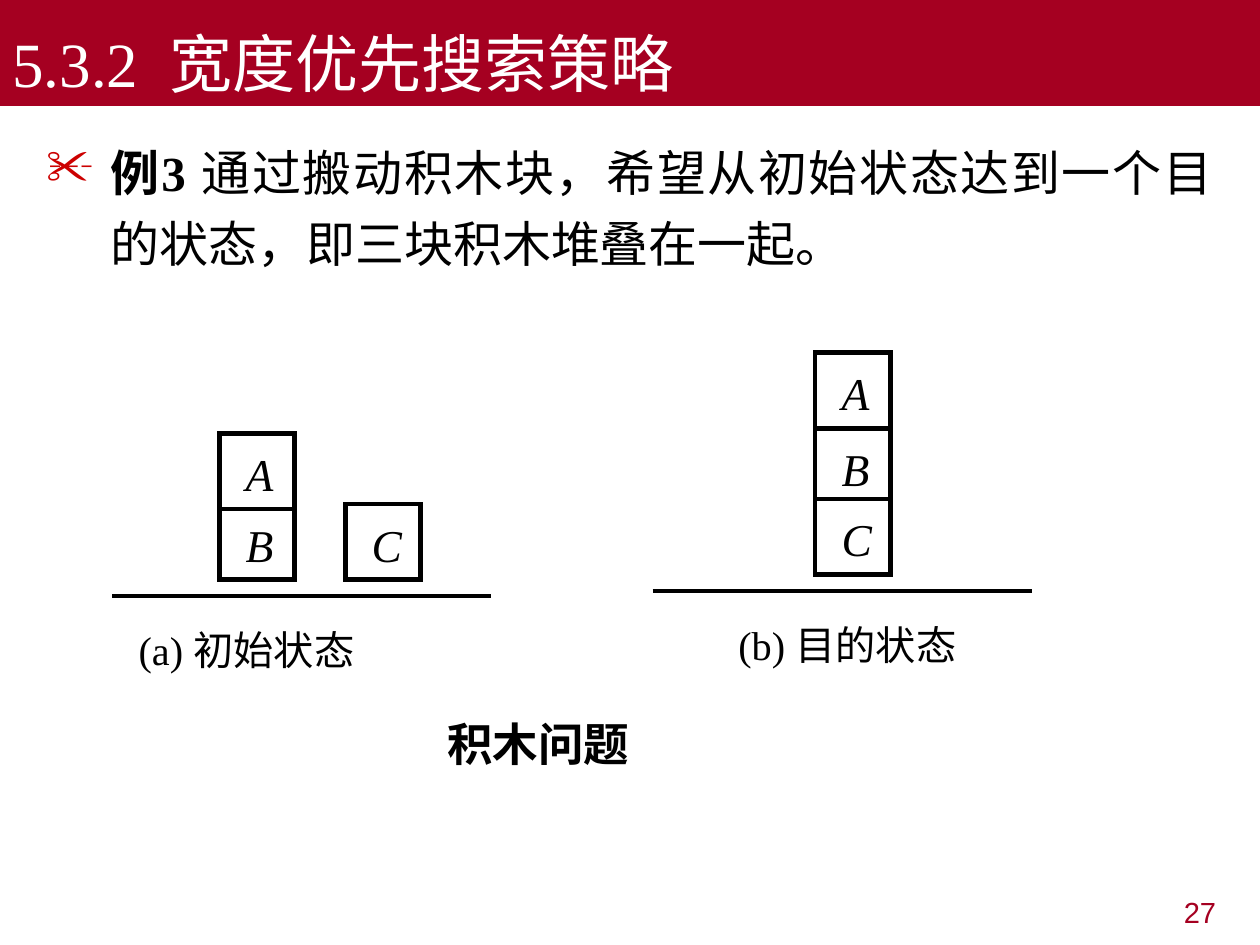
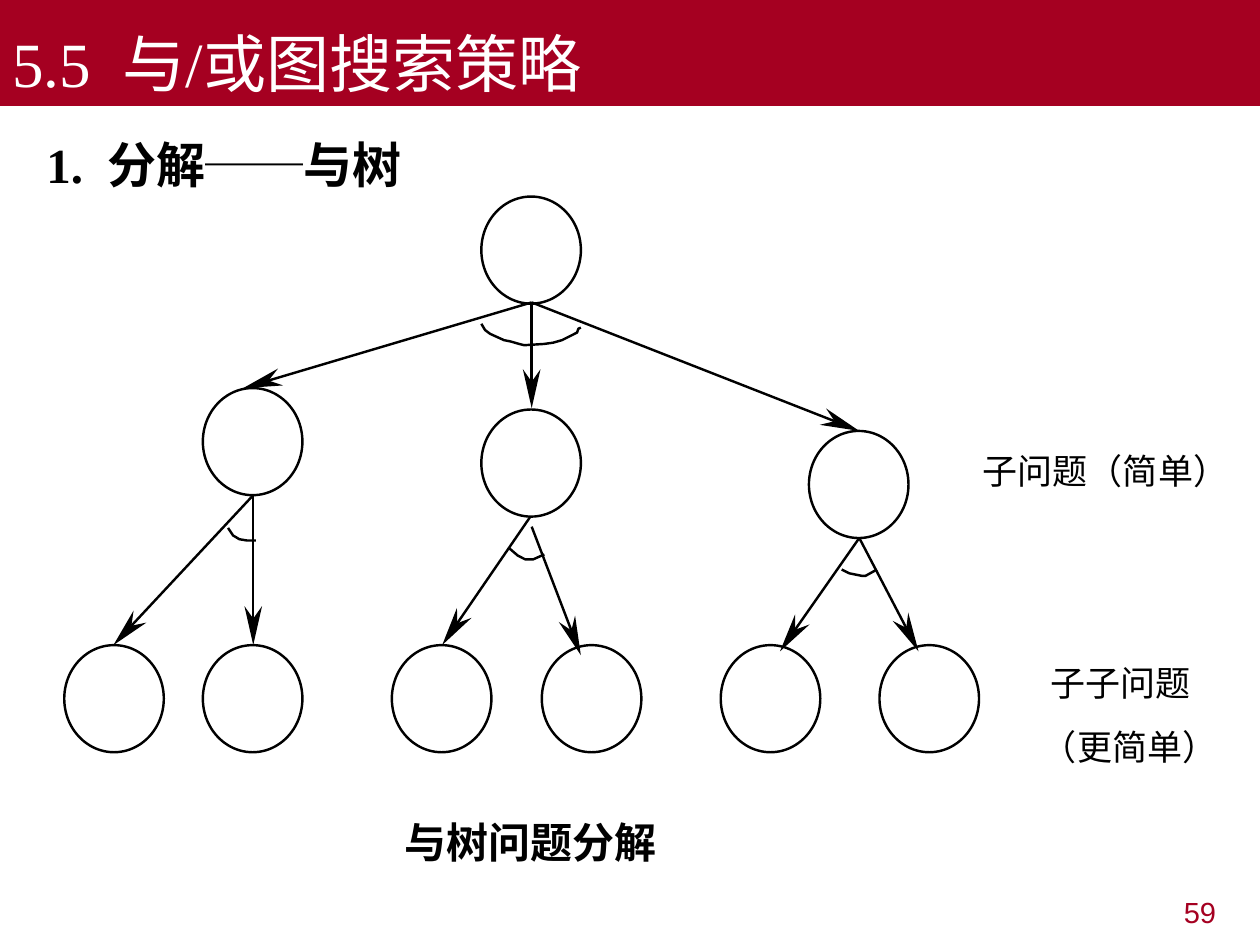
from math import hypot

from lxml.etree import SubElement
from pptx import Presentation
from pptx.dml.color import RGBColor
from pptx.enum.shapes import MSO_CONNECTOR, MSO_SHAPE
from pptx.enum.text import MSO_ANCHOR, PP_ALIGN
from pptx.oxml.ns import qn
from pptx.util import Inches, Pt

COLORS = {"band": "A50021", "ink": "000000", "paper": "FFFFFF", "bullet": "CC0000"}
SERIF, CJK, SANS = "Times New Roman", "Noto Sans CJK SC", "Arial"
BLOCK = 0.6
NODE_W, NODE_H = 0.79, 0.85
BLOCK_LINE, TREE_LINE = 2.64, 1.39


def color(key):
    return RGBColor.from_string(COLORS[key])


def add_run(paragraph, text, size, font=SERIF, ink="ink", bold=False, italic=False):
    run = paragraph.add_run()
    run.text = text
    run.font.name = font
    run.font.size = Pt(size)
    run.font.bold = bold
    run.font.italic = italic
    run.font.color.rgb = color(ink)


def add_text(slide, left, top, width, height, margin=0.0):
    frame = slide.shapes.add_textbox(
        Inches(left), Inches(top), Inches(width), Inches(height)).text_frame
    frame.word_wrap = True
    frame.margin_left = frame.margin_right = Inches(margin)
    frame.margin_top = frame.margin_bottom = Inches(margin / 2)
    return frame.paragraphs[0]


def style(shape, fill=None, line=None):
    shape.shadow.inherit = False
    if fill:
        shape.fill.solid()
        shape.fill.fore_color.rgb = color(fill)
    else:
        shape.fill.background()
    if line:
        shape.line.color.rgb = color("ink")
        shape.line.width = Pt(line)
        SubElement(shape.line._ln, qn("a:miter")).set("lim", "800000")
    else:
        shape.line.fill.background()


def add_shape(slide, kind, left, top, width, height, fill=None, line=None):
    shape = slide.shapes.add_shape(
        kind, Inches(left), Inches(top), Inches(width), Inches(height))
    style(shape, fill, line)
    return shape


def add_line(slide, start, end, width):
    points = [Inches(value) for value in (*start, *end)]
    line = slide.shapes.add_connector(MSO_CONNECTOR.STRAIGHT, *points)
    line.line.color.rgb = color("ink")
    line.line.width = Pt(width)
    SubElement(line._element.spPr, qn("a:effectLst"))


def add_outline(slide, points, close=False, fill=None, line=None):
    start, *rest = [(Inches(x), Inches(y)) for x, y in points]
    builder = slide.shapes.build_freeform(*start, scale=1.0)
    builder.add_line_segments(rest, close=close)
    style(builder.convert_to_shape(), fill, line)


def add_arrow(slide, start, tip):
    dx, dy = tip[0] - start[0], tip[1] - start[1]
    length = hypot(dx, dy)
    ux, uy = dx / length, dy / length

    def behind(back, side):
        return tip[0] - back * ux - side * uy, tip[1] - back * uy + side * ux

    add_line(slide, start, behind(0.21, 0), TREE_LINE)
    head = [behind(0.31, 0.07), tip, behind(0.31, -0.07), behind(0.21, 0)]
    add_outline(slide, head, close=True, fill="ink")


def add_frame(prs, title, number):
    slide = prs.slides.add_slide(prs.slide_layouts[6])
    band = add_shape(slide, MSO_SHAPE.RECTANGLE, 0, 0, 10, 0.84, fill="band")
    band.text_frame.vertical_anchor = MSO_ANCHOR.BOTTOM
    heading = band.text_frame.paragraphs[0]
    heading.alignment = PP_ALIGN.LEFT
    add_run(heading, title, 36, ink="paper")
    footer = add_text(slide, 7.58, 7.08, 2.17, 0.39, margin=0.1)
    footer.alignment = PP_ALIGN.RIGHT
    footer.line_spacing = 0.9
    add_run(footer, number, 16.6, SANS, "band")
    return slide


def add_example(slide, left, top, width, height):
    example = add_text(slide, left, top, width, height, margin=0.1)
    example.alignment = PP_ALIGN.JUSTIFY
    example.line_spacing = 1.2
    props = example._p.get_or_add_pPr()
    props.set("marL", str(Inches(0.51)))
    props.set("indent", str(-Inches(0.51)))
    bullet_color = SubElement(props, qn("a:buClr"))
    SubElement(bullet_color, qn("a:srgbClr")).set("val", COLORS["bullet"])
    SubElement(props, qn("a:buChar")).set("char", "✂")
    add_run(example, "例3 ", 28, bold=True)
    add_run(example, "通过搬动积木块，希望从初始状态达到一个目的状态，即三块积木堆叠在一起。", 28, CJK)


def add_state(slide, left, ground, blocks, mark, name, name_left):
    add_line(slide, (left, ground), (left + 3.01, ground), BLOCK_LINE)
    for letter, x, rise in blocks:
        top = ground - rise
        add_shape(slide, MSO_SHAPE.RECTANGLE, left + x, top, BLOCK, BLOCK,
                  fill="paper", line=BLOCK_LINE)
        label = add_text(slide, left + x + 0.21, top + 0.1, 0.35, 0.43)
        add_run(label, letter, 26, italic=True)
    caption = add_text(slide, left + name_left, ground + 0.23, 2.3, 0.38)
    add_run(caption, mark + " ", 23)
    add_run(caption, name, 23, CJK)


def add_blocks_slide(prs):
    slide = add_frame(prs, "5.3.2  宽度优先搜索策略", "27")
    add_example(slide, 0.27, 0.99, 9.45, 1.3)
    add_state(slide, 0.89, 4.73, [("B", 0.85, 0.73), ("C", 1.85, 0.73), ("A", 0.85, 1.29)],
              "(a)", "初始状态", 0.21)
    add_state(slide, 5.18, 4.69, [("A", 1.29, 1.89), ("B", 1.29, 1.29), ("C", 1.29, 0.73)],
              "(b)", "目的状态", 0.68)
    add_run(add_text(slide, 3.55, 5.68, 1.8, 0.43), "积木问题", 26, CJK, bold=True)


def add_tree(slide, left, top):
    def place(points):
        return [(left + x, top + y) for x, y in points]

    nodes = [(3.31, 0), (1.1, 1.52), (3.31, 1.69), (5.91, 1.86)]
    nodes += [(x, 3.56) for x in (0, 1.1, 2.6, 3.79, 5.21, 6.47)]
    for x, y in place(nodes):
        add_shape(slide, MSO_SHAPE.OVAL, x, y, NODE_W, NODE_H, line=TREE_LINE)

    branches = [
        ((3.71, 0.84), [(1.42, 1.52), (3.71, 1.68), (6.31, 1.86)]),
        ((1.5, 2.37), [(0.39, 3.56), (1.5, 3.56)]),
        ((3.7, 2.54), [(3.0, 3.56)]),
        ((3.71, 2.62), [(4.1, 3.64)]),
        ((6.31, 2.71), [(5.68, 3.61), (6.78, 3.61)]),
    ]
    for start, tips in branches:
        for tip in tips:
            add_arrow(slide, *place([start, tip]))

    and_arcs = [
        [(3.31, 1.01), (3.34, 1.06), (3.38, 1.09), (3.49, 1.14), (3.54, 1.15),
         (3.61, 1.17), (3.65, 1.18), (3.81, 1.17), (3.88, 1.16), (3.95, 1.14),
         (4.03, 1.1), (4.07, 1.08), (4.08, 1.05), (4.1, 1.04)],
        [(1.3, 2.63), (1.34, 2.69), (1.39, 2.72), (1.45, 2.73), (1.52, 2.73)],
        [(3.53, 2.79), (3.6, 2.85), (3.66, 2.88), (3.72, 2.88), (3.81, 2.84)],
        [(6.45, 2.96), (6.36, 3.01), (6.33, 3.01), (6.23, 2.99), (6.17, 2.96)],
    ]
    for arc in and_arcs:
        add_outline(slide, place(arc), line=TREE_LINE)


def add_and_tree_slide(prs):
    slide = add_frame(prs, "5.5  与/或图搜索策略", "59")
    section = add_text(slide, 0.27, 1.07, 9.45, 0.6, margin=0.1)
    section.line_spacing = 0.9
    add_run(section, "1.  分解──与树", 28, bold=True)
    add_tree(slide, 0.51, 1.56)
    levels = [("子问题（简单）", 7.8, 3.57, 2.1),
              ("子子问题", 8.34, 5.25, 1.5),
              ("（更简单）", 8.27, 5.76, 1.6)]
    for text, left, top, width in levels:
        add_run(add_text(slide, left, top, width, 0.33), text, 20, CJK)
    caption = add_text(slide, 3.11, 6.43, 3.54, 0.5, margin=0.1)
    add_run(caption, "与树问题分解", 24, SANS, bold=True)


def main():
    prs = Presentation()
    prs.slide_width, prs.slide_height = Inches(10), Inches(7.5)
    add_blocks_slide(prs)
    add_and_tree_slide(prs)
    prs.save("out.pptx")


if __name__ == "__main__":
    main()
